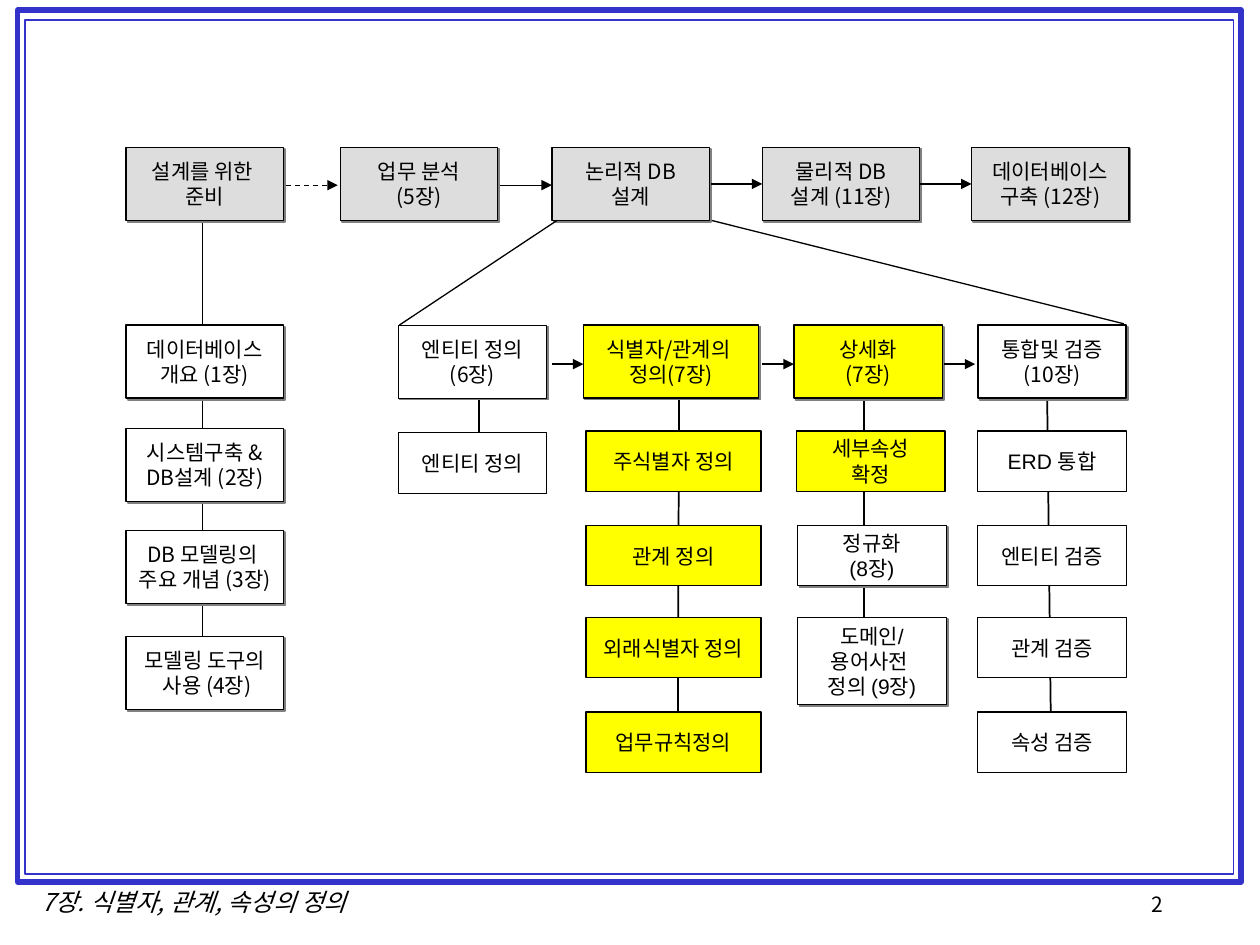
from lxml.etree import SubElement as Sub
from pptx import Presentation
from pptx.dml.color import RGBColor as Rgb
from pptx.enum.dml import MSO_LINE as Dash
from pptx.enum.shapes import MSO_CONNECTOR as Link, MSO_SHAPE as Shape
from pptx.enum.text import MSO_ANCHOR as Anchor, PP_ALIGN as Align
from pptx.oxml.ns import qn
from pptx.util import Inches, Pt

SANS, ARIAL = "Noto Sans CJK KR", "Arial"
BLACK, WHITE, GRAY, YELLOW = "000000", "FFFFFF", "DDDDDD", "FFFF00"
BLUE, SHADE = "3333CC", "808080"


def color(code):
    return Rgb.from_string(code)


def write(frame, text, font=SANS, size=12, align=Align.CENTER, italic=False):
    frame.word_wrap = False
    for i, line in enumerate(text.split("\n")):
        para = frame.paragraphs[0] if i == 0 else frame.add_paragraph()
        para.alignment = align
        run = para.add_run()
        run.text = line
        run.font.size, run.font.name = Pt(size), font
        run.font.italic = italic
        run.font.color.rgb = color(BLACK)
        Sub(run.font._element, qn("a:ea"), typeface=SANS)


class Chart:
    def __init__(self, slide, ink=BLACK):
        self.slide, self.ink = slide, ink

    def rect(self, x, y, w, h, fill=None, ink=None, width=0.75):
        box = self.slide.shapes.add_shape(
            Shape.RECTANGLE, Inches(x), Inches(y), Inches(w), Inches(h))
        if fill:
            box.fill.solid()
            box.fill.fore_color.rgb = color(fill)
        else:
            box.fill.background()
        box.line.color.rgb = color(ink or self.ink)
        box.line.width = Pt(width)
        box.shadow.inherit = False
        return box

    def box(self, x, y, w, h, text, fill=WHITE, width=0.75, font=SANS,
            shade=True):
        box = self.rect(x, y, w, h, fill, width=width)
        if shade:
            effects = box._element.spPr.find(qn("a:effectLst"))
            outer = Sub(effects, qn("a:outerShdw"), dist=str(Pt(1.4)),
                        dir="2700000", algn="ctr", rotWithShape="0")
            Sub(outer, qn("a:srgbClr"), val=SHADE)
        box.text_frame.vertical_anchor = Anchor.MIDDLE
        write(box.text_frame, text, font=font)

    def line(self, x1, y1, x2, y2, width=0.75, arrow=False, dash=False):
        line = self.slide.shapes.add_connector(
            Link.STRAIGHT, Inches(x1), Inches(y1), Inches(x2), Inches(y2))
        line.line.color.rgb = color(self.ink)
        line.line.width = Pt(width)
        if dash:
            line.line.dash_style = Dash.DASH
        if arrow:
            Sub(line.line._get_or_add_ln(), qn("a:tailEnd"), type="triangle")
        Sub(line._element.spPr, qn("a:effectLst"))

    def label(self, x, y, w, h, text, **style):
        box = self.slide.shapes.add_textbox(
            Inches(x), Inches(y), Inches(w), Inches(h))
        write(box.text_frame, text, **style)


# Main phases: left, text
PHASES = [
    (1, "설계를 위한 \n준비"),
    (2.7, "업무 분석\n(5장)"),
    (4.38, "논리적 DB\n설계"),
    (6.05, "물리적 DB\n설계 (11장)"),
    (7.71, "데이터베이스\n구축 (12장)"),
]
# Preparation chapters: top, line width, text
CHAPTERS = [
    (2.58, 1, "데이터베이스\n개요 (1장)"),
    (3.4, 1, "시스템구축 &\nDB설계 (2장)"),
    (4.21, 0.75, "DB 모델링의 \n주요 개념 (3장)"),
    (5.05, 0.75, "모델링 도구의\n 사용 (4장)"),
]
# Logical design heads: left, width, fill, line width, text
HEADS = [
    (3.16, 1.18, WHITE, 0.5, "엔티티 정의\n(6장)"),
    (4.63, 1.39, YELLOW, 0.75, "식별자/관계의 \n정의(7장)"),
    (6.3, 1.18, YELLOW, 1, "상세화\n(7장)"),
    (7.76, 1.18, WHITE, 1, "통합및 검증\n(10장)"),
]
ROWS = [3.42, 4.17, 4.9, 5.65]
KEYS = ["주식별자 정의", "관계 정의", "외래식별자 정의", "업무규칙정의"]
CHECKS = ["ERD 통합", "엔티티 검증", "관계 검증", "속성 검증"]
# Stems: start, end, line width
STEMS = [
    (1.61, 1.75, 1.61, 5.08, 0.75),
    (3.8, 3.13, 3.8, 3.46, 1),
    (5.39, 2.99, 5.38, 5.67, 1),
    (6.86, 3.06, 6.86, 4.95, 1),
    (8.31, 3.06, 8.34, 5.71, 1),
]


def main():
    deck = Presentation()
    deck.slide_width, deck.slide_height = Inches(10), Inches(7.5)
    chart = Chart(deck.slides.add_slide(deck.slide_layouts[6]))

    # Page frame and footer
    chart.rect(0.14, 0.08, 9.71, 6.92, ink=BLUE, width=3)
    chart.rect(0.2, 0.16, 9.59, 6.78, ink=BLUE, width=1)
    chart.label(9.04, 7.03, 1.02, 0.33, "2", align=Align.LEFT)
    chart.label(0.06, 6.99, 2.96, 0.34, "7장. 식별자, 관계, 속성의 정의",
                size=14, italic=True)

    # Stems lie behind the boxes
    for stem in STEMS:
        chart.line(*stem)

    # Main phases
    for x, text in PHASES:
        chart.box(x, 1.17, 1.25, 0.58, text, fill=GRAY)
    for x, y in [(2.27, 1.47), (3.97, 1.47), (5.64, 1.46), (7.3, 1.46)]:
        chart.line(x, y, x + 0.41, y, arrow=True, dash=x == 2.27)

    # Preparation chapters
    for y, width, text in CHAPTERS:
        chart.box(1, y, 1.25, 0.58, text, width=width)

    # Logical design heads
    for x, w, fill, width, text in HEADS:
        chart.box(x, 2.58, w, 0.58, text, fill=fill, width=width)
    for x in (4.38, 6.05, 7.49):
        chart.line(x, 2.89, x + 0.25, 2.89, arrow=True)

    # Steps below each head
    plain = {"font": ARIAL, "shade": False}
    chart.box(3.16, 3.43, 1.18, 0.49, "엔티티 정의", width=0.5, **plain)
    for y, key, check in zip(ROWS, KEYS, CHECKS):
        chart.box(4.65, y, 1.39, 0.48, key, fill=YELLOW, **plain)
        chart.box(7.76, y, 1.18, 0.48, check, **plain)
    chart.box(6.32, ROWS[0], 1.18, 0.48, "세부속성\n확정", fill=YELLOW, **plain)
    chart.box(6.33, ROWS[1], 1.18, 0.48, "정규화\n(8장)", font=ARIAL)
    chart.box(6.33, ROWS[2], 1.18, 0.69, "도메인/\n용어사전 \n정의 (9장)",
              font=ARIAL)

    # Fan from logical design to its heads
    chart.line(4.42, 1.75, 3.17, 2.58)
    chart.line(5.65, 1.75, 8.92, 2.57)

    deck.save("out.pptx")


if __name__ == "__main__":
    main()
